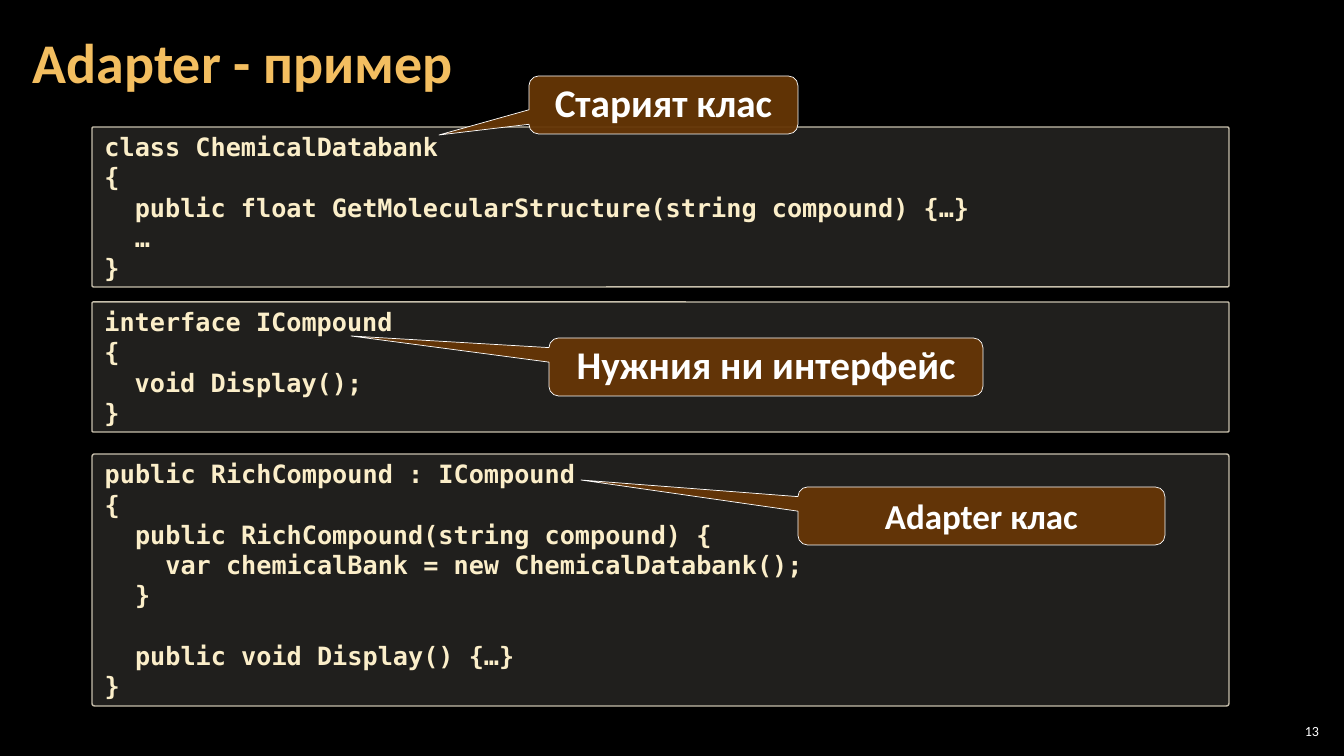
from pptx import Presentation
from pptx.dml.color import RGBColor
from pptx.enum.shapes import MSO_SHAPE
from pptx.enum.text import MSO_ANCHOR, MSO_AUTO_SIZE, PP_ALIGN
from pptx.oxml.ns import qn
from pptx.util import Emu, Pt
from lxml.etree import SubElement

# Content
TITLE = "Adapter - пример"
NUMBER = "13"
CODE = [  # top, height, lines
    (127, 160, ["class ChemicalDatabank",
                "{",
                "  public float GetMolecularStructure(string compound) {…}",
                "  …",
                "}"]),
    (302, 130, ["interface ICompound",
                "{",
                "  void Display();",
                "}"]),
    (454, 252, ["public RichCompound : ICompound",
                "{",
                "  public RichCompound(string compound) {",
                "    var chemicalBank = new ChemicalDatabank();",
                "  }",
                "",
                "  public void Display() {…}",
                "}"]),
]
NOTES = [  # text, size, box, tip of the pointer
    ("Старият клас", 28, (529, 76, 269, 58), (439, 135)),
    ("Нужния ни интерфейс", 28, (549, 338, 434, 58), (351, 336)),
    ("Adapter клас", 25, (798, 487, 367, 58), (581, 480)),
]

# Look
COLORS = {"back": "000000", "title": "F3BE60", "white": "FFFFFF",
          "code": "FBEEC9", "panel": "D9D5C7", "edge": "C7BFAC",
          "note": "663606"}
PX = 12700 * 72 / 100.8
FIT = MSO_AUTO_SIZE.SHAPE_TO_FIT_TEXT
INSETS = (12, 4, 12, 4)


def px(n):
    return Emu(round(n * PX))


def color(name):
    return RGBColor.from_string(COLORS[name])


def place(shape, box):
    for side, n in zip(("left", "top", "width", "height"), box):
        setattr(shape, side, px(n))


def write(shape, lines, font, tone, para, frame, insets=None):
    text = shape.text_frame
    for key, val in frame.items():
        setattr(text, key, val)
    if insets:
        for side, n in zip(("left", "top", "right", "bottom"), insets):
            setattr(text, "margin_" + side, px(n))
    for i, line in enumerate(lines):
        p = text.add_paragraph() if i else text.paragraphs[0]
        for key, val in para.items():
            setattr(p, key, val)
        if line:
            p.add_run().text = line
        for item in [p, *p.runs]:
            for key, val in font.items():
                setattr(item.font, key, val)
            item.font.color.rgb = color(tone)


def panel(kind, box, fill, alpha, edge, width):
    shape = slide.shapes.add_shape(kind, *map(px, box))
    shape.shadow.inherit = False
    shape.fill.solid()
    shape.fill.fore_color.rgb = color(fill)
    tint = shape.fill._xPr.find(qn("a:solidFill"))[0]
    SubElement(tint, qn("a:alpha"), val=str(alpha * 1000))
    shape.line.color.rgb = color(edge)
    shape.line.width = Pt(width)
    return shape


# Slide
deck = Presentation()
deck.slide_width, deck.slide_height = px(1344), px(756)
slide = deck.slides.add_slide(deck.slide_layouts[5])
slide.background.fill.solid()
slide.background.fill.fore_color.rgb = color("back")

# Title and slide number
title = slide.shapes.title
place(title, (21, 4, 1055, 122))
write(title, [TITLE], {"name": "Calibri", "size": Pt(40), "bold": True}, "title",
      {"alignment": PP_ALIGN.LEFT, "line_spacing": 0.9},
      {"vertical_anchor": MSO_ANCHOR.MIDDLE, "word_wrap": True,
       "auto_size": MSO_AUTO_SIZE.NONE}, INSETS)
number = slide.shapes.add_textbox(*map(px, (1275, 720, 48, 21)))
write(number, [NUMBER], {"name": "Calibri", "size": Pt(10)}, "white",
      {"alignment": PP_ALIGN.RIGHT},
      {"vertical_anchor": MSO_ANCHOR.MIDDLE, "word_wrap": True}, (4, 4, 4, 4))

# Code panels
for top, high, lines in CODE:
    shape = panel(MSO_SHAPE.ROUNDED_RECTANGLE, (92, top, 1137, high),
                  "panel", 15, "edge", 1)
    shape.adjustments[0] = 0.01
    write(shape, lines,
          {"name": "DejaVu Sans Mono", "size": Pt(18), "bold": True}, "code",
          {"alignment": PP_ALIGN.LEFT},
          {"vertical_anchor": MSO_ANCHOR.TOP, "word_wrap": True,
           "auto_size": FIT}, INSETS)

# Callouts, each pointing at its tip
for text, size, box, tip in NOTES:
    shape = panel(MSO_SHAPE.ROUNDED_RECTANGULAR_CALLOUT, box,
                  "note", 95, "white", 0.5)
    left, top, wide, high = box
    shape.adjustments[0] = (tip[0] - left) / wide - 0.5
    shape.adjustments[1] = (tip[1] - top) / high - 0.5
    write(shape, [text],
          {"name": "Calibri", "size": Pt(size), "bold": True}, "white",
          {"alignment": PP_ALIGN.CENTER, "line_spacing": Pt(30)},
          {"vertical_anchor": MSO_ANCHOR.TOP, "word_wrap": True,
           "auto_size": FIT})

deck.save("out.pptx")
